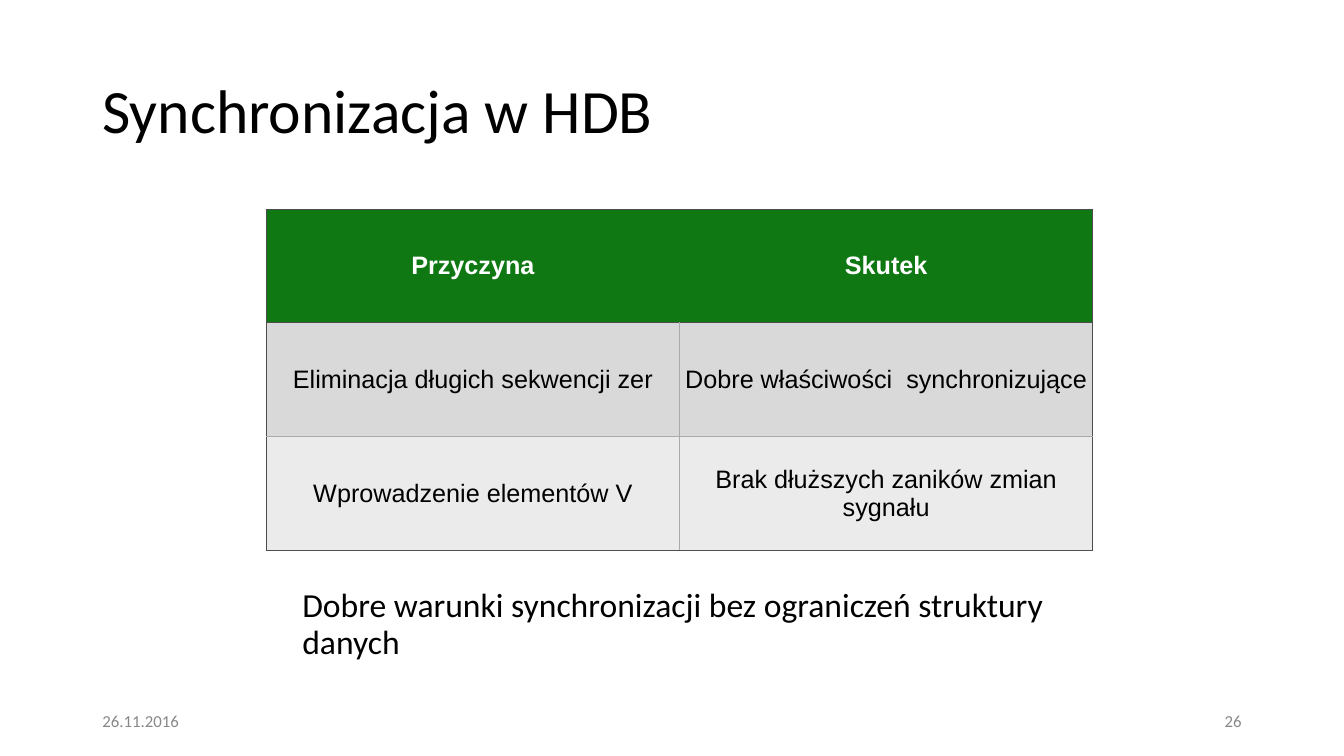
from lxml import etree
from pptx import Presentation
from pptx.dml.color import RGBColor
from pptx.enum.text import MSO_ANCHOR, PP_ALIGN
from pptx.oxml.ns import qn
from pptx.util import Cm, Pt

TOP, MIDDLE = MSO_ANCHOR.TOP, MSO_ANCHOR.MIDDLE
LEFT, CENTER, RIGHT = PP_ALIGN.LEFT, PP_ALIGN.CENTER, PP_ALIGN.RIGHT
DARK, PALE = "4D4D4D", "AAAAAA"
FILLS = ["0F7813", "D9D9D9", "EBEBEB"]
ROWS = [
    ["Przyczyna", "Skutek"],
    ["Eliminacja długich sekwencji zer", "Dobre właściwości  synchronizujące"],
    ["Wprowadzenie elementów V", "Brak dłuższych zaników zmian sygnału"],
]


def color(code):
    return RGBColor.from_string(code)


def style(para, size, face, code, align, bold=False):
    para.alignment = align
    for run in para.runs:
        font = run.font
        font.size = Pt(size)
        font.name = face
        font.bold = bold
        font.color.rgb = color(code)


def add_text(slide, box, text, size, code="000000", align=LEFT, anchor=MIDDLE):
    shape = slide.shapes.add_textbox(*[Cm(side) for side in box])
    frame = shape.text_frame
    frame.word_wrap = True
    frame.vertical_anchor = anchor
    frame.text = text
    para = frame.paragraphs[0]
    style(para, size, "Calibri", code, align)
    return para


def add_title(slide, box):
    add_text(slide, box, "Synchronizacja w HDB", 44).line_spacing = 0.9


def add_body(slide, box):
    text = "Dobre warunki synchronizacji bez ograniczeń struktury danych"
    para = add_text(slide, box, text, 24, anchor=TOP)
    para.line_spacing = 0.9
    para.space_after = Pt(21)
    props = para._p.get_or_add_pPr()
    props.set("marL", str(Cm(0.66)))
    props.set("indent", "0")


def add_footer(slide, box):
    left, top, width, height = box
    part = 7.62
    add_text(slide, (left, top, part, height), "26.11.2016", 12, "888888")
    end = left + width - part
    add_text(slide, (end, top, part, height), "26", 12, "888888", RIGHT)


def set_edges(cell, edges):
    props = cell._tc.get_or_add_tcPr()
    for spot, (side, code) in enumerate(edges.items()):
        line = etree.Element(qn("a:" + side), w=str(Pt(1)))
        if code:
            fill = etree.SubElement(line, qn("a:solidFill"))
            etree.SubElement(fill, qn("a:srgbClr"), val=code)
        else:
            etree.SubElement(line, qn("a:noFill"))
        props.insert(spot, line)


def add_grid(slide, box):
    left, top, width, height = [Cm(side) for side in box]
    count, span = len(ROWS), len(ROWS[0])
    frame = slide.shapes.add_table(count, span, left, top, width, height)
    table = frame.table
    for r, texts in enumerate(ROWS):
        head = r == 0
        inner = None if head else PALE
        pad = Cm(0.13 if head else 0.1)
        for c, text in enumerate(texts):
            cell = table.cell(r, c)
            cell.text = text
            cell.vertical_anchor = MIDDLE
            cell.margin_left = cell.margin_right = pad
            cell.margin_top = cell.margin_bottom = pad
            cell.fill.solid()
            cell.fill.fore_color.rgb = color(FILLS[r])
            ink = "FFFFFF" if head else "000000"
            style(cell.text_frame.paragraphs[0], 18, "Arial", ink, CENTER, head)
            set_edges(cell, {
                "lnL": DARK if c == 0 else inner,
                "lnR": DARK if c == span - 1 else inner,
                "lnT": DARK if r < 2 else PALE,
                "lnB": PALE if r == 1 else DARK,
            })


def main():
    deck = Presentation()
    deck.slide_width, deck.slide_height = Cm(33.87), Cm(19.05)
    slide = deck.slides.add_slide(deck.slide_layouts[6])
    add_title(slide, (2.33, 1.01, 29.21, 3.68))
    add_body(slide, (6.71, 14.71, 20.45, 4.34))
    add_grid(slide, (6.71, 5.27, 20.83, 8.6))
    add_footer(slide, (2.33, 17.66, 29.21, 1.01))
    deck.save("out.pptx")


if __name__ == "__main__":
    main()
